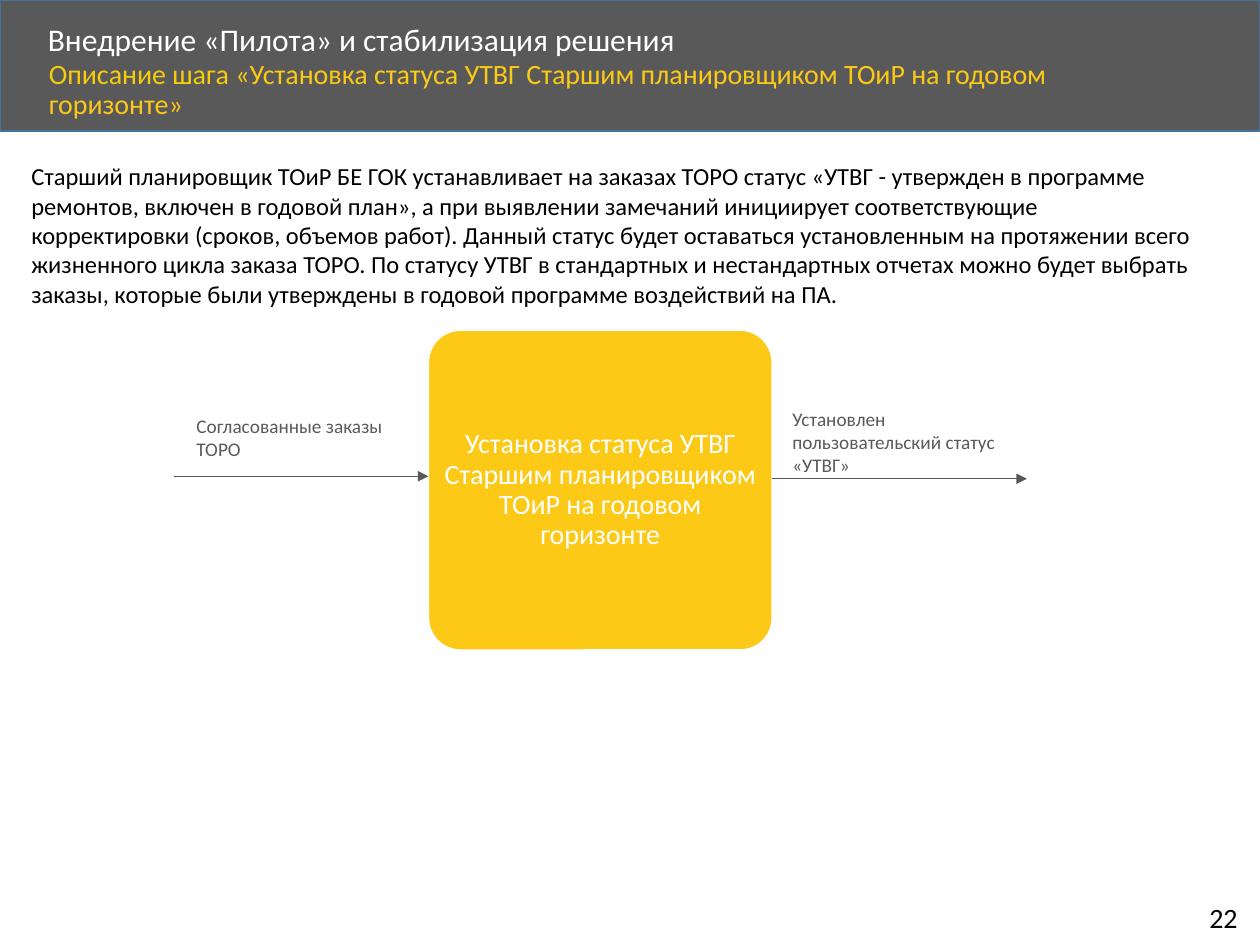
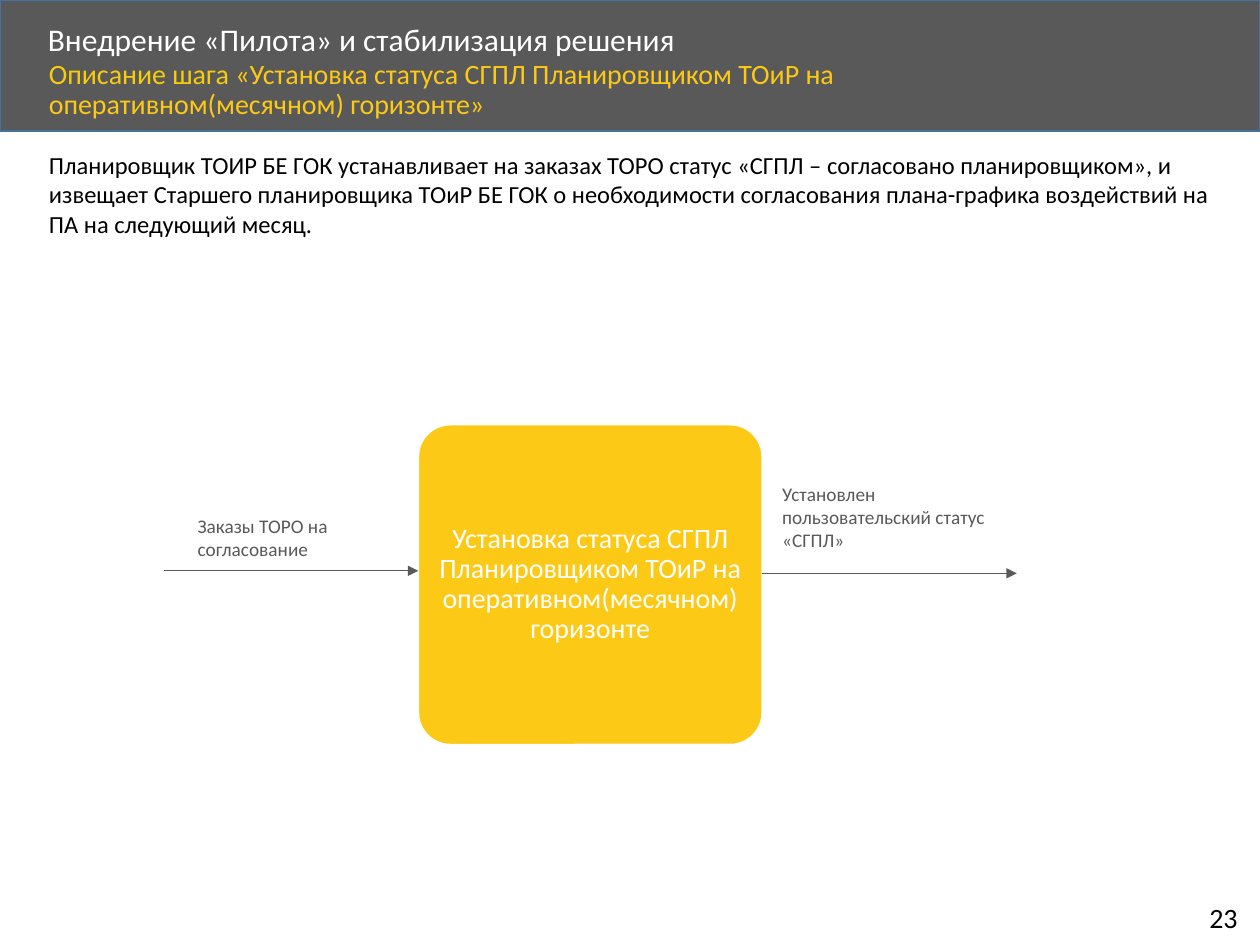
import pptx
import pptx.util
import pptx.dml.color
import pptx.enum.shapes
import pptx.enum.text
import pptx.oxml.ns
import lxml.etree

SLIDE_WIDTH, SLIDE_HEIGHT = 10, 7.5
COLUMNS, ROWS = 100, 75

SECTION = "Внедрение «Пилота» и стабилизация решения"
STEPS = [
    dict(
        number="22",
        step="Установка статуса УТВГ Старшим планировщиком ТОиР на годовом горизонте",
        description="Старший планировщик ТОиР БЕ ГОК устанавливает на заказах ТОРО статус "
                    "«УТВГ - утвержден в программе ремонтов, включен в годовой план», а при "
                    "выявлении замечаний инициирует соответствующие корректировки (сроков, "
                    "объемов работ). Данный статус будет оставаться установленным на протяжении "
                    "всего жизненного цикла заказа ТОРО. По статусу УТВГ в стандартных и "
                    "нестандартных отчетах можно будет выбрать заказы, которые были утверждены "
                    "в годовой программе воздействий на ПА.",
        description_area=(1.5, 12.3, 94.6, 12.8),
        card_corner=(34, 26.2),
        incoming="Согласованные заказы ТОРО",
        incoming_corner=(14.6, 32.4),
        outgoing="Установлен пользовательский статус «УТВГ»",
        outgoing_top=31.8,
    ),
    dict(
        number="23",
        step="Установка статуса СГПЛ Планировщиком ТОиР на оперативном(месячном) горизонте",
        description="Планировщик ТОИР БЕ ГОК устанавливает на заказах ТОРО статус «СГПЛ – "
                    "согласовано планировщиком», и извещает Старшего планировщика ТОиР БЕ ГОК "
                    "о необходимости согласования плана-графика воздействий на ПА на следующий "
                    "месяц.",
        description_area=(2.9, 11.4, 94.6, 8.1),
        card_corner=(33.2, 33.7),
        incoming="Заказы ТОРО на согласование",
        incoming_corner=(14.7, 40.3),
        outgoing="Установлен пользовательский статус «СГПЛ»",
        outgoing_top=37.8,
    ),
]


def colour(hex_code):
    return pptx.dml.color.RGBColor.from_string(hex_code)


class Deck:
    """Style, grid and current slide of the presentation."""
    FONT = "Calibri"
    WHITE, BLACK, GREY = "FFFFFF", "000000", "595959"
    YELLOW, LEAD_YELLOW, BAND_EDGE = "FCC917", "F6CC0C", "43739E"

    def __init__(self):
        self.deck = pptx.Presentation()
        self.deck.slide_width = pptx.util.Inches(SLIDE_WIDTH)
        self.deck.slide_height = pptx.util.Inches(SLIDE_HEIGHT)
        self.slide = None

    def x(self, columns):
        return round(self.deck.slide_width * columns / COLUMNS)

    def y(self, rows):
        return round(self.deck.slide_height * rows / ROWS)

    def area(self, left, top, width, height):
        return self.x(left), self.y(top), self.x(width), self.y(height)

    def put_text(self, shape, runs, size, spacing=None, middle=False, centred=False,
                 wrap=True, inset=None):
        """Fill a shape with one paragraph of (text, colour) runs."""
        frame = shape.text_frame
        frame.word_wrap = wrap
        frame.auto_size = pptx.enum.text.MSO_AUTO_SIZE.NONE
        anchors = pptx.enum.text.MSO_ANCHOR
        frame.vertical_anchor = anchors.MIDDLE if middle else anchors.TOP
        if inset is not None:
            frame.margin_left = frame.margin_right = inset
            frame.margin_top = frame.margin_bottom = inset
        paragraph = frame.paragraphs[0]
        alignments = pptx.enum.text.PP_ALIGN
        paragraph.alignment = alignments.CENTER if centred else alignments.LEFT
        if spacing:
            paragraph.line_spacing = spacing
        for text, hex_code in runs:
            run = paragraph.add_run()
            run.text = text
            run.font.name = self.FONT
            run.font.size = pptx.util.Pt(size)
            run.font.color.rgb = colour(hex_code)

    def text(self, area, runs, size, **options):
        self.put_text(self.slide.shapes.add_textbox(*self.area(*area)), runs, size, **options)

    def block(self, kind, area, fill, edge):
        shape = self.slide.shapes.add_shape(kind, *self.area(*area))
        shape.shadow.inherit = False
        shape.fill.solid()
        shape.fill.fore_color.rgb = colour(fill)
        shape.line.color.rgb = colour(edge)
        shape.line.width = pptx.util.Pt(1)
        return shape

    def card(self, area, text):
        card = self.block(pptx.enum.shapes.MSO_SHAPE.ROUNDED_RECTANGLE, area,
                          self.YELLOW, self.WHITE)
        card.adjustments[0] = 0.1
        self.put_text(card, [(text, self.WHITE)], 16, spacing=0.9, middle=True,
                      centred=True, inset=0)

    def arrow(self, left, top, length):
        arrow = self.slide.shapes.add_connector(
            pptx.enum.shapes.MSO_CONNECTOR.STRAIGHT,
            self.x(left), self.y(top), self.x(left + length), self.y(top))
        arrow.line.color.rgb = colour(self.GREY)
        arrow.line.width = pptx.util.Pt(0.5)
        qn = pptx.oxml.ns.qn
        properties = arrow.element.spPr
        lxml.etree.SubElement(properties.find(qn("a:ln")), qn("a:tailEnd"), type="triangle")
        lxml.etree.SubElement(properties, qn("a:effectLst"))

    def label(self, left, top, height, text):
        self.text((left, top, 20, height), [(text, self.GREY)], 11)

    def new_slide(self, section, step, number):
        """Start a slide with its band, title, subtitle and number."""
        self.slide = self.deck.slides.add_slide(self.deck.slide_layouts[5])
        title = self.slide.shapes.title
        band = self.block(pptx.enum.shapes.MSO_SHAPE.RECTANGLE, (0, 0, COLUMNS, 10.4),
                          self.GREY, self.BAND_EDGE)
        title.element.addprevious(band.element)
        title.left, title.top, title.width, title.height = self.area(2.8, 1.4, 80.7, 3.8)
        self.put_text(title, [(section, self.WHITE)], 18, spacing=0.9, middle=True)
        self.text((2.9, 4.3, 86.7, 4.5),
                  [("Описание шага ", self.LEAD_YELLOW), (f"«{step}»", self.YELLOW)],
                  16, spacing=0.9)
        self.text((95, 71, 4.6, 3.7), [(number, self.BLACK)], 16, wrap=False)

    def flow(self, corner, step, incoming, incoming_corner, outgoing, outgoing_top):
        """Draw the step card with its incoming and outgoing arrows."""
        left, top = corner
        width, height, reach = 27.3, 25.4, 20.2
        right = left + width
        self.card((left, top, width, height), step)
        self.arrow(left - reach, top + 11.6, reach)
        self.arrow(right, top + 11.8, reach)
        self.label(*incoming_corner, 4.7, incoming)
        self.label(right + 0.6, outgoing_top, 6.6, outgoing)


def main():
    deck = Deck()
    for page in STEPS:
        deck.new_slide(SECTION, page["step"], page["number"])
        deck.text(page["description_area"], [(page["description"], deck.BLACK)], 14)
        deck.flow(page["card_corner"], page["step"], page["incoming"],
                  page["incoming_corner"], page["outgoing"], page["outgoing_top"])
    deck.deck.save("out.pptx")


if __name__ == "__main__":
    main()
